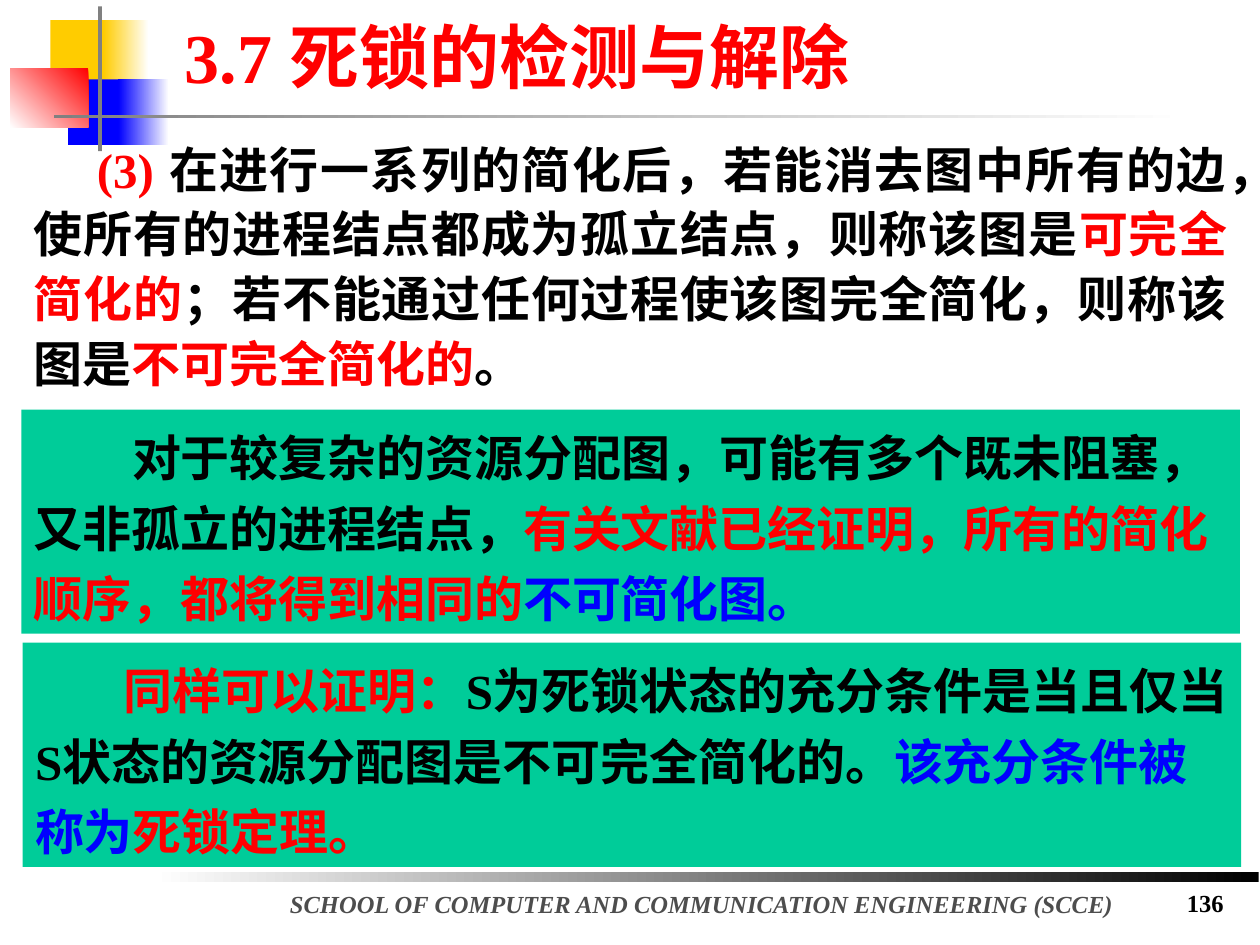
import pptx
import pptx.util
import pptx.dml.color
import pptx.enum.shapes
import pptx.enum.text

W, H = 10, 7.5
FONT = "Times New Roman"
BLACK, RED, BLUE, GREEN = "000000", "FF0000", "0000FF", "00CC99"
WHITE, YELLOW, GREY, DARK = "FFFFFF", "FFCC00", "808080", "4D4D4D"
FULL = 0.967 * W

ORNAMENTS = [
    ((0.4, 0.16, 0.48, 0.52), YELLOW),
    ((0.82, 0.16, 0.36, 0.52), (WHITE, YELLOW, 180)),
    ((0.54, 0.63, 0.46, 0.52), BLUE),
    ((0.94, 0.63, 0.4, 0.52), (WHITE, BLUE, 180)),
    ((0.08, 0.54, 0.62, 0.47), (RED, WHITE, 225)),
    ((0.78, 0.05, 0.03, 1.15), GREY),
    ((0.43, 0.91, 9, 0.03), (WHITE, GREY, 180)),
    ((1.22, 6.92, 8.77, 0.08), (BLACK, WHITE, 180)),
]

TEXTS = [
    ((0.17, 3.25, FULL, 1.78), [
        ("对于较复杂的资源分配图，可能有多个既未阻塞，又非孤立的进程结点，", BLACK),
        ("有关文献已经证明，所有的简化顺序，都将得到相同的", RED),
        ("不可简化图。", BLUE),
    ], dict(fill=GREEN, spacing=1.2, indent=0.78)),
    ((1.37, 0.06, 5.7, 0.77), [("3.7 死锁的检测与解除", RED)], dict(size=40)),
    ((0.17, 1.01, FULL, 2.16), [
        ("(3) ", RED),
        ("在进行一系列的简化后，若能消去图中所有的边，使所有的进程结点都成为孤立结点，则称该图是", BLACK),
        ("可完全简化的", RED),
        ("；若不能通过任何过程使该图完全简化，则称该图是", BLACK),
        ("不可完全简化的", RED),
        ("。", BLACK),
    ], dict(align="JUSTIFY", spacing=1.1, indent=0.5)),
    ((0.18, 5.1, FULL, 1.78), [
        ("同样可以证明：", RED),
        ("S为死锁状态的充分条件是当且仅当S状态的资源分配图是不可完全简化的。", BLACK),
        ("该充分条件被称为", BLUE),
        ("死锁定理。", RED),
    ], dict(fill=GREEN, spacing=1.2, indent=0.7)),
    ((2.03, 7.01, 7.08, 0.33),
     [("SCHOOL OF COMPUTER AND COMMUNICATION ENGINEERING (SCCE)", DARK)],
     dict(size=14, italic=True, align="CENTER")),
    ((8.62, 7, 1.19, 0.35), [("136", BLACK)], dict(size=14, align="RIGHT")),
]


def rgb(color):
    """Turn a hex string into a colour."""
    return pptx.dml.color.RGBColor.from_string(color)


def inches(values):
    """Turn numbers into lengths."""
    return [pptx.util.Inches(v) for v in values]


def add_rect(s, box, fill):
    """Add a borderless rectangle with a plain or (start, end, angle) fill."""
    sp = s.shapes.add_shape(pptx.enum.shapes.MSO_SHAPE.RECTANGLE, *inches(box))
    sp.shadow.inherit = False
    sp.line.fill.background()
    if isinstance(fill, str):
        sp.fill.solid()
        sp.fill.fore_color.rgb = rgb(fill)
    else:
        sp.fill.gradient()
        sp.fill.gradient_angle = fill[2]
        for stop, color in zip(sp.fill.gradient_stops, fill):
            stop.color.rgb = rgb(color)
    return sp


def add_text(s, box, runs, fill=None, size=28, italic=False, align="LEFT",
             spacing=1.0, indent=0):
    """Add one paragraph of coloured runs, on a filled box if fill is given."""
    sp = add_rect(s, box, fill) if fill else s.shapes.add_textbox(*inches(box))
    tf = sp.text_frame
    tf.word_wrap = True
    tf.vertical_anchor = pptx.enum.text.MSO_ANCHOR.TOP
    p = tf.paragraphs[0]
    p.alignment = getattr(pptx.enum.text.PP_ALIGN, align)
    p.line_spacing = spacing
    if indent:
        p._p.get_or_add_pPr().set("indent", str(pptx.util.Inches(indent)))
    for text, color in runs:
        r = p.add_run()
        r.text = text
        r.font.name = FONT
        r.font.size = pptx.util.Pt(size)
        r.font.bold = True
        r.font.italic = italic
        r.font.color.rgb = rgb(color)


def main():
    """Build the slide and save it."""
    prs = pptx.Presentation()
    prs.slide_width, prs.slide_height = inches((W, H))
    s = prs.slides.add_slide(prs.slide_layouts[6])
    for box, fill in ORNAMENTS:
        add_rect(s, box, fill)
    for box, runs, style in TEXTS:
        add_text(s, box, runs, **style)
    prs.save("out.pptx")


if __name__ == "__main__":
    main()
